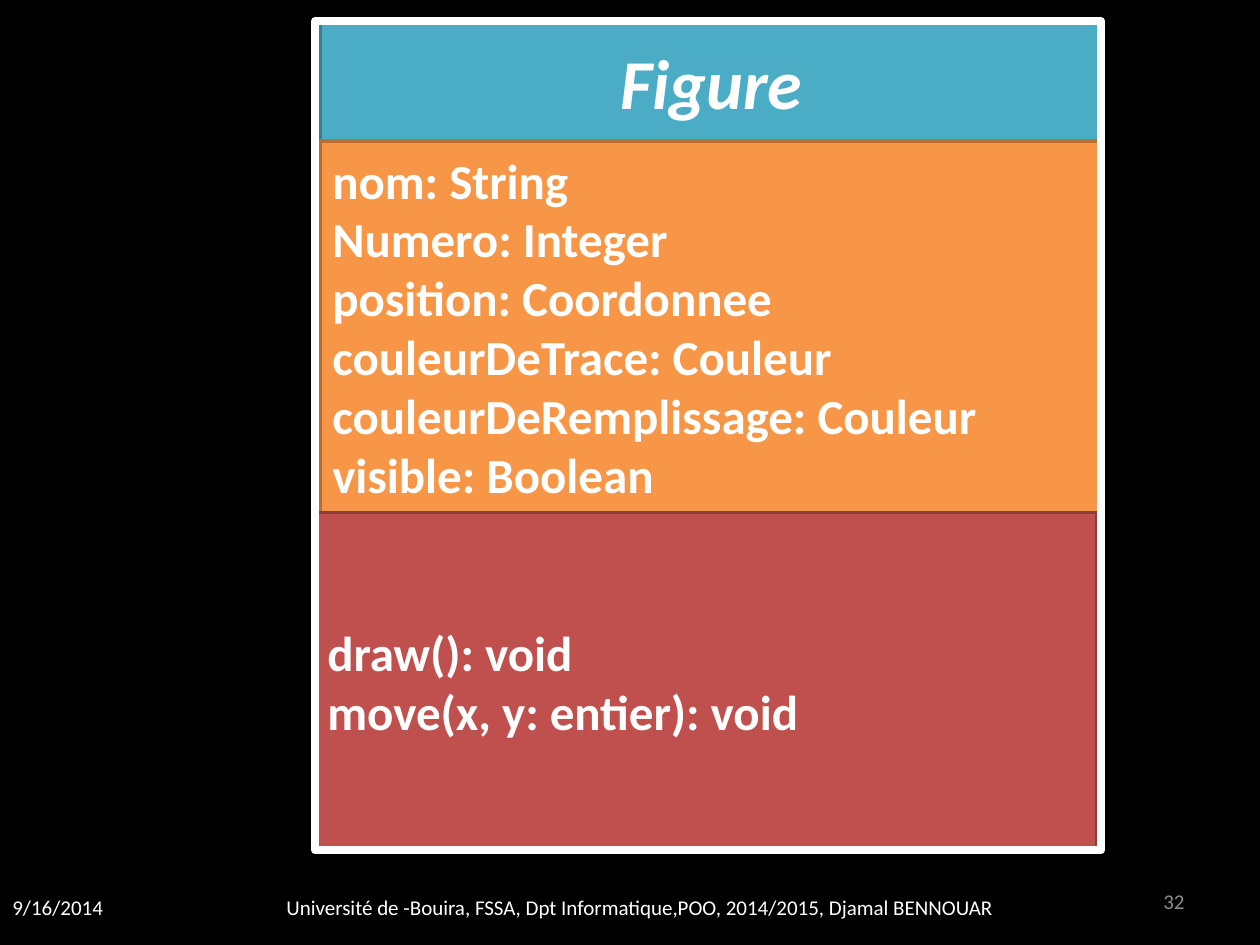
from pptx import Presentation
from pptx.dml.color import RGBColor
from pptx.enum.shapes import MSO_SHAPE
from pptx.enum.text import MSO_ANCHOR, PP_ALIGN
from pptx.util import Cm, Pt


def paint(target, color):
    """Give a fill or line fill a solid hex colour."""
    target.solid()
    target.fore_color.rgb = RGBColor.from_string(color)


def write(shape, lines, size, align, color="FFFFFF", bold=False, italic=False):
    """Write one paragraph per line, centred vertically in the shape."""
    frame = shape.text_frame
    frame.word_wrap = True
    frame.vertical_anchor = MSO_ANCHOR.MIDDLE
    frame.text = "\n".join(lines)
    for para in frame.paragraphs:
        para.alignment = align
        font = para.font
        font.name, font.size = "Calibri", Pt(size)
        font.bold, font.italic = bold, italic
        paint(font.fill, color)


deck = Presentation()
deck.slide_width, deck.slide_height = Cm(25.4), Cm(19.05)
slide = deck.slides.add_slide(deck.slide_layouts[6])
paint(slide.background.fill, "000000")

# Footer: left, top, width, text, alignment, colour
footer = [
    (0, 17.78, 3.18, "9/16/2014", PP_ALIGN.LEFT, "FFFFFF"),
    (2.74, 17.78, 20.32,
     "Université de -Bouira, FSSA, Dpt Informatique,POO, 2014/2015, Djamal BENNOUAR",
     PP_ALIGN.CENTER, "FFFFFF"),
    (18.21, 17.65, 5.92, "32", PP_ALIGN.RIGHT, "8C8C8C"),
]
for left, top, width, text, align, color in footer:
    box = slide.shapes.add_textbox(Cm(left), Cm(top), Cm(width), Cm(1.02))
    write(box, [text], 12, align, color)

# Class diagram, stacked from the top: left, height, fill, line, text
fields = ["nom: String", "Numero: Integer", "position: Coordonnee",
          "couleurDeTrace: Couleur", "couleurDeRemplissage: Couleur",
          "visible: Boolean"]
methods = ["draw(): void", "move(x, y: entier): void"]
parts = [
    (6.45, 2.41, "4BACC6", "377F92", ["Figure"]),
    (6.45, 7.49, "F79646", "B76F34", fields),
    (6.35, 6.81, "C0504D", "8E3B39", methods),
]
group = slide.shapes.add_group_shape()
start = top = 0.43
for left, height, fill, line, lines in parts:
    part = group.shapes.add_shape(
        MSO_SHAPE.RECTANGLE, Cm(left), Cm(top), Cm(15.77), Cm(height))
    part.shadow.inherit = False
    paint(part.fill, fill)
    paint(part.line.fill, line)
    part.line.width = Pt(2)
    title = lines == ["Figure"]
    write(part, lines, 40 if title else 28,
          PP_ALIGN.CENTER if title else PP_ALIGN.LEFT, bold=True, italic=title)
    top += height

border = group.shapes.add_shape(
    MSO_SHAPE.RECTANGLE, Cm(6.35), Cm(start), Cm(15.85), Cm(top - start))
border.shadow.inherit = False
border.fill.background()
paint(border.line.fill, "FFFFFF")
border.line.width = Pt(4.5)

deck.save("out.pptx")
